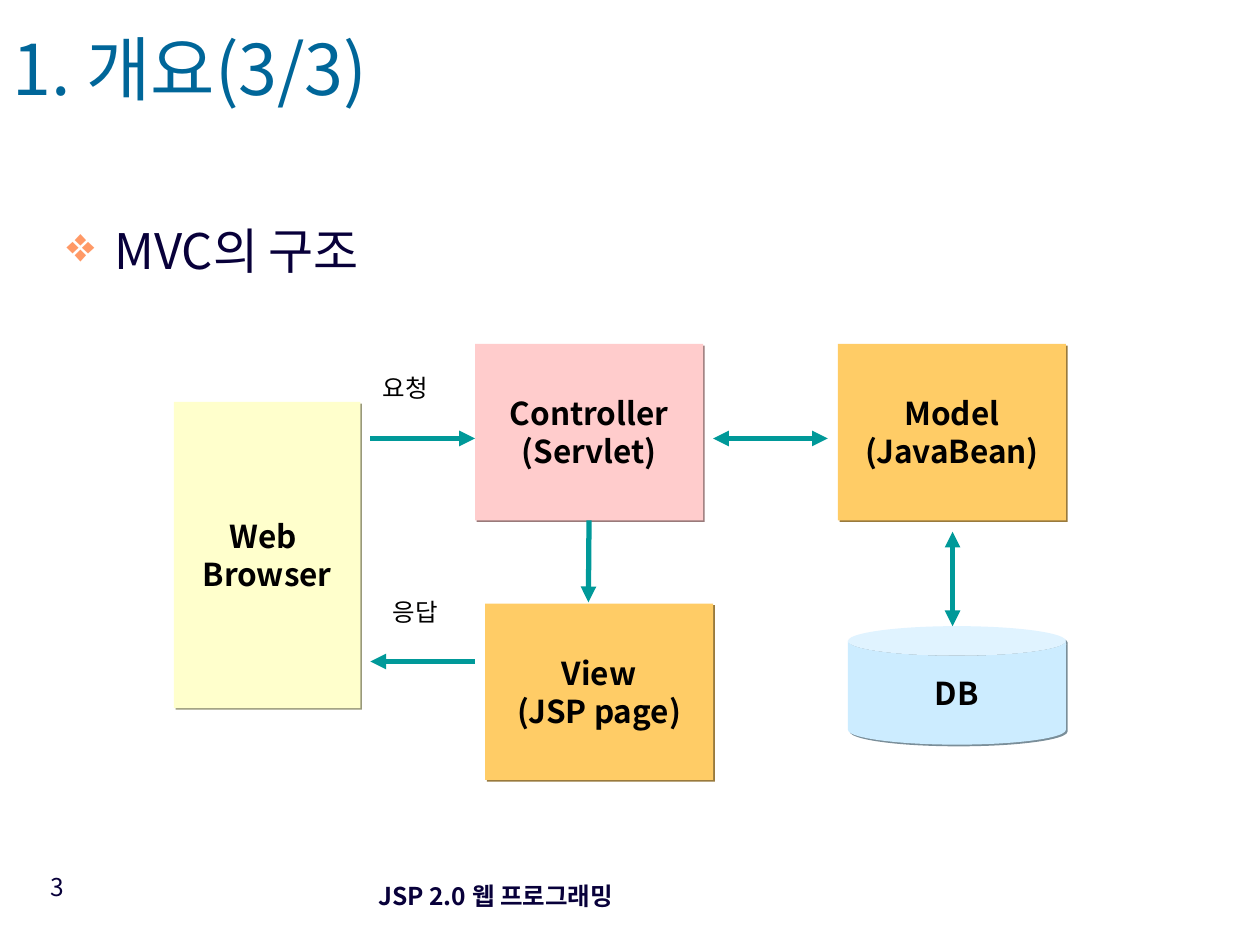
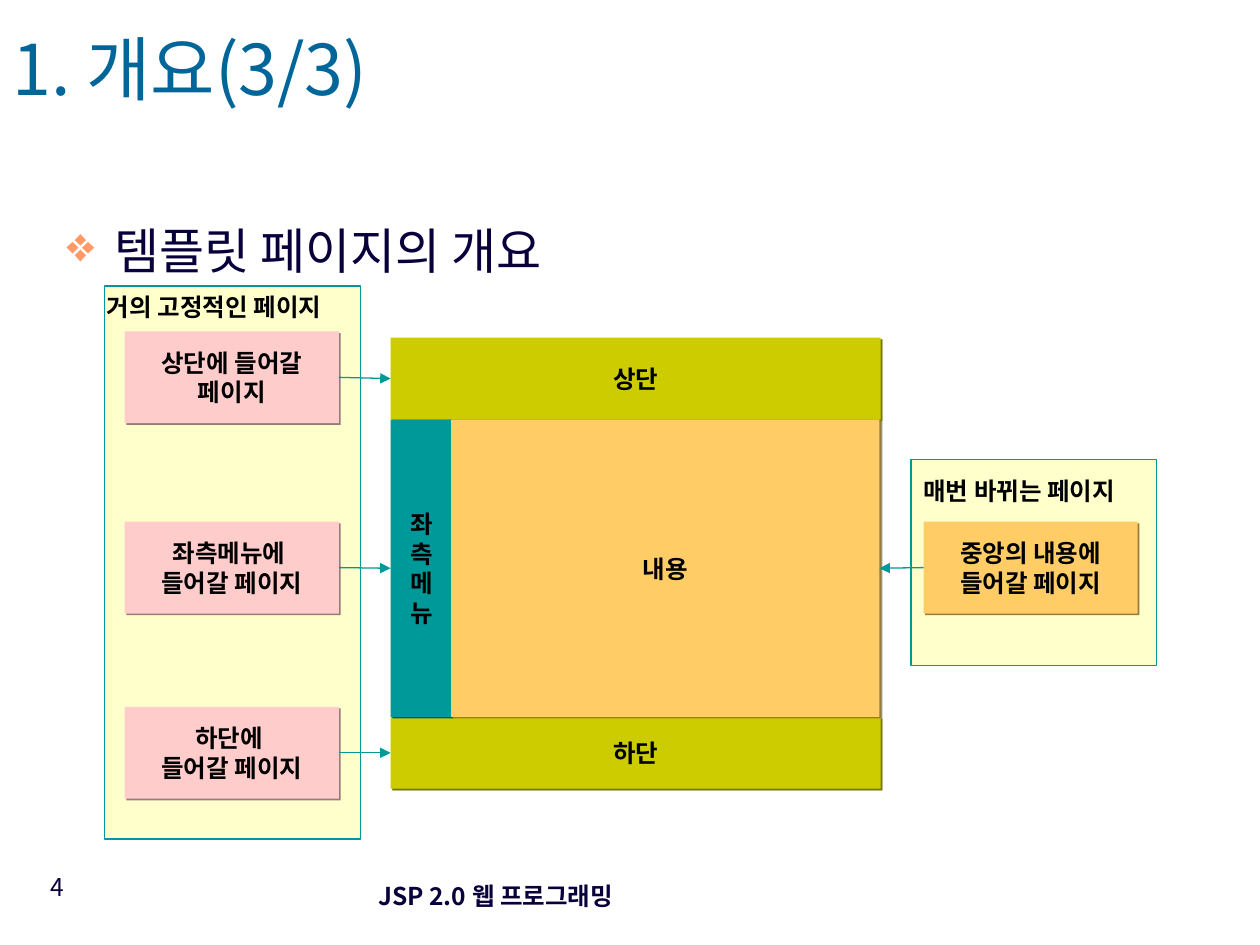
from lxml import etree
from pptx import Presentation
from pptx.dml.color import RGBColor
from pptx.enum.shapes import MSO_CONNECTOR, MSO_SHAPE
from pptx.enum.text import MSO_ANCHOR, MSO_AUTO_SIZE, PP_ALIGN
from pptx.oxml.ns import qn
from pptx.util import Inches, Pt

RECT, CAN = MSO_SHAPE.RECTANGLE, MSO_SHAPE.CAN
STRAIGHT = MSO_CONNECTOR.STRAIGHT
LEFT, CENTER, RIGHT = PP_ALIGN.LEFT, PP_ALIGN.CENTER, PP_ALIGN.RIGHT
TOP, MIDDLE = MSO_ANCHOR.TOP, MSO_ANCHOR.MIDDLE
NO_AUTOFIT = MSO_AUTO_SIZE.NONE
LEFT_SIDE, BOTTOM_SIDE, RIGHT_SIDE = 1, 2, 3

FONT = "Noto Sans CJK KR"
COLORS = {
    "title": "006699", "ink": "08003A", "black": "010000", "bullet": "FF9966",
    "teal": "009999", "cream": "FFFFCC", "orange": "FFCC66", "pink": "FFCCCC",
    "sky": "CCECFF", "olive": "CCCC00",
}
TITLE = "1. 개요(3/3)"
FOOTER = "JSP 2.0 웹 프로그래밍"


def rgb(name):
    return RGBColor.from_string(COLORS[name])


def shade(name):
    """Shadow colour: the fill at 60 percent brightness."""
    return "".join(f"{round(part * 0.6):02X}" for part in rgb(name))


class Deck:
    def __init__(self):
        self.prs = Presentation()
        self.prs.slide_width, self.prs.slide_height = Inches(10), Inches(7.5)
        self.slide = None

    def new_slide(self, number, heading):
        self.slide = self.prs.slides.add_slide(self.prs.slide_layouts[5])
        # Footer and page number
        self.text(FOOTER, (2.35, 6.86, 3.17, 0.5), color="ink", bold=True,
                  align=CENTER, anchor=MIDDLE)
        self.text(str(number), (0.14, 6.87, 0.47, 0.52), color="ink", align=RIGHT)
        # Title
        title = self.slide.shapes.title
        title.left, title.top = Inches(0), Inches(0.28)
        title.width, title.height = Inches(8.54), Inches(0.67)
        self.set_text(title.text_frame, TITLE, 40, "title", False, LEFT, MIDDLE)
        title.text_frame.paragraphs[0].line_spacing = 0.7
        # Bulleted heading
        self.bullet(heading, (0.43, 1.7, 9.21, 0.71))

    def set_text(self, frame, text, size, color, bold, align, anchor, wrap=True):
        frame.text = text
        frame.word_wrap = wrap
        frame.auto_size = NO_AUTOFIT
        frame.vertical_anchor = anchor
        for paragraph in frame.paragraphs:
            paragraph.alignment = align
            for run in paragraph.runs:
                font = run.font
                font.name, font.size, font.bold = FONT, Pt(size), bold
                font.color.rgb = rgb(color)
                east_asian = etree.SubElement(run._r.get_or_add_rPr(), qn("a:ea"))
                east_asian.set("typeface", FONT)

    def text(self, text, at, size=14, color="black", bold=False, align=LEFT, anchor=TOP):
        box = self.slide.shapes.add_textbox(*map(Inches, at))
        self.set_text(box.text_frame, text, size, color, bold, align, anchor)
        return box

    def bullet(self, text, at):
        box = self.text(text, at, size=28, color="ink")
        props = box.text_frame.paragraphs[0]._p.get_or_add_pPr()
        props.set("marL", str(Inches(0.38)))
        props.set("indent", str(-Inches(0.38)))
        color = etree.SubElement(props, qn("a:buClr"))
        etree.SubElement(color, qn("a:srgbClr")).set("val", COLORS["bullet"])
        etree.SubElement(props, qn("a:buChar")).set("char", "❖")

    def frame(self, at):
        """Outlined panel without a shadow."""
        panel = self.slide.shapes.add_shape(RECT, *map(Inches, at))
        panel.shadow.inherit = False
        panel.fill.solid()
        panel.fill.fore_color.rgb = rgb("cream")
        panel.line.color.rgb = rgb("teal")
        panel.line.width = Pt(0.75)

    def block(self, text, at, fill, size=14, kind=RECT):
        """Filled block with a hard shadow at its lower right."""
        block = self.slide.shapes.add_shape(kind, *map(Inches, at))
        block.fill.solid()
        block.fill.fore_color.rgb = rgb(fill)
        block.line.fill.background()
        block.shadow.inherit = False
        effects = block._element.spPr.find(qn("a:effectLst"))
        shadow = etree.SubElement(effects, qn("a:outerShdw"), dist=str(Pt(1.4)),
                                  dir="2700000", algn="ctr", rotWithShape="0")
        etree.SubElement(shadow, qn("a:srgbClr")).set("val", shade(fill))
        self.set_text(block.text_frame, text, size, "black", True, CENTER, MIDDLE, wrap=False)
        return block

    def arrow(self, start=(0, 0), end=(0, 0), width=3.0, both=False,
              begin_at=None, end_at=None):
        """Arrow between points, or between (block, side) pairs."""
        line = self.slide.shapes.add_connector(STRAIGHT, *map(Inches, (*start, *end)))
        if begin_at:
            line.begin_connect(*begin_at)
        if end_at:
            line.end_connect(*end_at)
        line.line.color.rgb = rgb("teal")
        line.line.width = Pt(width)
        ends = ("headEnd", "tailEnd") if both else ("tailEnd",)
        for name in ends:
            etree.SubElement(line.line._get_or_add_ln(), qn(f"a:{name}")).set("type", "triangle")
        etree.SubElement(line._element.spPr, qn("a:effectLst"))


def mvc_slide(deck):
    deck.new_slide(3, "MVC의 구조")

    # Components
    deck.block("Web \nBrowser", (1.38, 3.19, 1.48, 2.43), "cream", 18)
    deck.block("View\n(JSP page)", (3.85, 4.79, 1.81, 1.4), "orange", 18)
    controller = deck.block("Controller\n(Servlet)", (3.77, 2.73, 1.81, 1.4), "pink", 18)
    deck.block("Model\n(JavaBean)", (6.65, 2.73, 1.81, 1.4), "orange", 18)
    deck.block("DB", (6.73, 4.97, 1.73, 0.94), "sky", 18, CAN)

    # Request and response
    deck.text("요청", (2.94, 2.91, 0.74, 0.34))
    deck.arrow((2.94, 3.48), (3.77, 3.48))
    deck.text("응답", (3.02, 4.69, 0.74, 0.34))
    deck.arrow((3.77, 5.25), (2.94, 5.25))

    # Links between the components
    deck.arrow((4.67, 4.13), (4.67, 4.78), begin_at=(controller, BOTTOM_SIDE))
    deck.arrow((5.66, 3.48), (6.57, 3.48), both=True)
    deck.arrow((7.56, 4.22), (7.56, 4.97), both=True)


def template_slide(deck):
    deck.new_slide(4, "템플릿 페이지의 개요")

    # Panels for changing and fixed pages
    deck.frame((7.23, 3.65, 1.95, 1.63))
    deck.text("매번 바뀌는 페이지", (7.23, 3.73, 1.95, 0.34), bold=True)
    deck.frame((0.83, 2.27, 2.03, 4.39))
    deck.text("거의 고정적인 페이지", (0.75, 2.27, 2.11, 0.34), bold=True)

    # Template page and its regions
    deck.block("", (3.1, 2.68, 3.89, 3.58), "cream")
    header = deck.block("상단", (3.1, 2.68, 3.89, 0.65), "olive")
    footer = deck.block("하단", (3.1, 5.69, 3.89, 0.57), "olive")
    menu = deck.block("좌\n측\n메\n뉴", (3.1, 3.33, 0.49, 2.36), "teal")
    content = deck.block("내용", (3.58, 3.33, 3.4, 2.36), "orange")

    # Pages that go into the regions
    fixed_pages = [
        ("상단에 들어갈\n페이지", 2.63, header),
        ("좌측메뉴에 \n들어갈 페이지", 4.14, menu),
        ("하단에 \n들어갈 페이지", 5.61, footer),
    ]
    for text, top, region in fixed_pages:
        page = deck.block(text, (0.99, top, 1.7, 0.73), "pink")
        deck.arrow(width=0.75, begin_at=(page, RIGHT_SIDE), end_at=(region, LEFT_SIDE))

    content_page = deck.block("중앙의 내용에\n들어갈 페이지", (7.33, 4.14, 1.7, 0.73), "orange")
    deck.arrow(width=0.75, begin_at=(content_page, LEFT_SIDE), end_at=(content, RIGHT_SIDE))


def main():
    deck = Deck()
    mvc_slide(deck)
    template_slide(deck)
    deck.prs.save("out.pptx")


if __name__ == "__main__":
    main()
